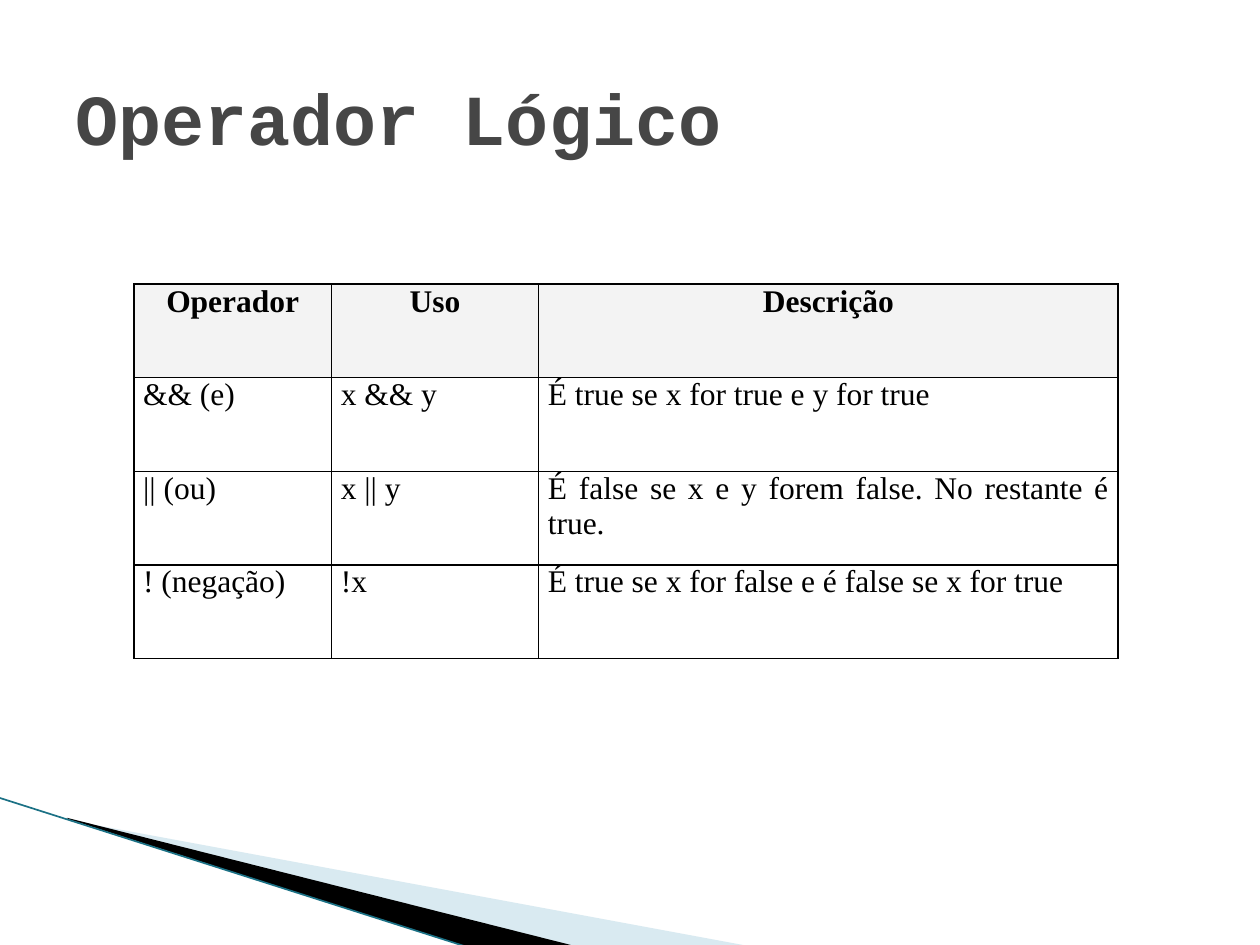
from dataclasses import dataclass

from lxml.etree import SubElement
from pptx import Presentation
from pptx.dml.color import RGBColor
from pptx.enum.shapes import MSO_CONNECTOR
from pptx.enum.text import MSO_ANCHOR, PP_ALIGN
from pptx.oxml.ns import qn
from pptx.shapes.autoshape import Shape
from pptx.slide import Slide
from pptx.table import _Cell
from pptx.util import Pt


@dataclass(frozen=True)
class Theme:
    title_font: str = "Courier New"
    table_font: str = "Times New Roman"
    title_size: float = 41
    table_size: float = 18
    title_color: str = "464646"
    ink: str = "000000"
    header_fill: str = "F3F3F3"
    wedge_light: str = "A0CBDC"
    edge: str = "1B7185"
    border_width: float = 1
    edge_width: float = 0.95


@dataclass(frozen=True)
class Frame:
    left: float
    top: float
    width: float
    height: float


@dataclass(frozen=True)
class Wedge:
    frame: Frame
    points: tuple[tuple[float, float], ...]
    color: str
    opacity: int = 100


@dataclass(frozen=True)
class Operator:
    symbol: str
    usage: str
    description: str


THEME = Theme()
WEDGES = (
    Wedge(
        Frame(56.2, 393.8, 299.5, 113.8),
        ((39.6, 468.7), (428.4, 540.7), (328.3, 540.7), (39.6, 468)),
        THEME.wedge_light,
        40,
    ),
    Wedge(
        Frame(-4.3, 455.8, 299.5, 66.2),
        ((38.2, 467.3), (329, 540.7), (267.8, 541.4), (38.9, 468)),
        THEME.ink,
    ),
)
HEADER = Operator("Operador", "Uso", "Descrição")
OPERATORS = (
    Operator("&& (e)", "x && y", "É true se x for true e y for true"),
    Operator("|| (ou)", "x || y", "É false se x e y forem false. No restante é true."),
    Operator("! (negação)", "!x", "É true se x for false e é false se x for true"),
)
COLUMN_WIDTHS = (113, 118.3, 331.2)
ROW_HEIGHT = 53.5


def rgb(color: str) -> RGBColor:
    return RGBColor.from_string(color)


def set_frame(shape: Shape, frame: Frame) -> None:
    left, top = Pt(frame.left), Pt(frame.top)
    width, height = Pt(frame.width), Pt(frame.height)
    for point in shape._element.iter(qn("a:pt")):
        point.set("x", str(int(point.get("x")) + shape.left - left))
        point.set("y", str(int(point.get("y")) + shape.top - top))
    for outline in shape._element.iter(qn("a:path")):
        outline.set("w", str(width))
        outline.set("h", str(height))
    shape.left, shape.top, shape.width, shape.height = left, top, width, height


def draw_wedge(slide: Slide, wedge: Wedge) -> None:
    start, *others = [(Pt(x), Pt(y)) for x, y in wedge.points]
    builder = slide.shapes.build_freeform(*start)
    builder.add_line_segments(others, close=True)
    shape = builder.convert_to_shape()
    set_frame(shape, wedge.frame)
    shape.shadow.inherit = False
    shape.line.fill.background()
    shape.fill.solid()
    shape.fill.fore_color.rgb = rgb(wedge.color)
    if wedge.opacity < 100:
        color = shape.fill._xPr.find(qn("a:solidFill"))[0]
        SubElement(color, qn("a:alpha"), val=str(wedge.opacity * 1000))


def draw_edge(slide: Slide) -> None:
    edge = slide.shapes.add_connector(
        MSO_CONNECTOR.STRAIGHT, Pt(-0.7), Pt(455.8), Pt(267.8), Pt(541.4)
    )
    edge.line.color.rgb = rgb(THEME.edge)
    edge.line.width = Pt(THEME.edge_width)
    SubElement(edge._element.spPr, qn("a:effectLst"))


def write_title(slide: Slide, text: str) -> None:
    title = slide.shapes.title
    title.left, title.top, title.width, title.height = Pt(36), Pt(21.6), Pt(648), Pt(90)
    title.text_frame.text = text
    title.text_frame.vertical_anchor = MSO_ANCHOR.MIDDLE
    paragraph = title.text_frame.paragraphs[0]
    paragraph.alignment = PP_ALIGN.LEFT
    paragraph.font.name = THEME.title_font
    paragraph.font.size = Pt(THEME.title_size)
    paragraph.font.bold = True
    paragraph.font.color.rgb = rgb(THEME.title_color)


def add_borders(cell: _Cell) -> None:
    properties = cell._tc.get_or_add_tcPr()
    for side in ("lnL", "lnR", "lnT", "lnB"):
        border = SubElement(properties, qn(f"a:{side}"), w=str(Pt(THEME.border_width)))
        fill = SubElement(border, qn("a:solidFill"))
        SubElement(fill, qn("a:srgbClr"), val=THEME.ink)


def write_cell(cell: _Cell, text: str, is_header: bool) -> None:
    add_borders(cell)
    cell.margin_left = cell.margin_right = Pt(5.3)
    cell.margin_top = cell.margin_bottom = Pt(0)
    cell.vertical_anchor = MSO_ANCHOR.TOP
    if is_header:
        cell.fill.solid()
        cell.fill.fore_color.rgb = rgb(THEME.header_fill)
    else:
        cell.fill.background()
    cell.text = text
    paragraph = cell.text_frame.paragraphs[0]
    paragraph.alignment = PP_ALIGN.CENTER if is_header else PP_ALIGN.JUSTIFY
    paragraph.font.name = THEME.table_font
    paragraph.font.size = Pt(THEME.table_size)
    paragraph.font.bold = is_header
    paragraph.font.color.rgb = rgb(THEME.ink)


def draw_operators(slide: Slide) -> None:
    entries = (HEADER, *OPERATORS)
    table = slide.shapes.add_table(
        len(entries), len(COLUMN_WIDTHS), Pt(76.5), Pt(162.3),
        Pt(sum(COLUMN_WIDTHS)), Pt(ROW_HEIGHT * len(entries)),
    ).table
    table.first_row = table.horz_banding = False
    for column, width in zip(table.columns, COLUMN_WIDTHS):
        column.width = Pt(width)
    for row, entry in zip(table.rows, entries):
        row.height = Pt(ROW_HEIGHT)
        texts = (entry.symbol, entry.usage, entry.description)
        for cell, text in zip(row.cells, texts):
            write_cell(cell, text, entry is HEADER)


def main() -> None:
    presentation = Presentation()
    presentation.slide_width, presentation.slide_height = Pt(720), Pt(540)
    slide = presentation.slides.add_slide(presentation.slide_layouts[5])
    for wedge in WEDGES:
        draw_wedge(slide, wedge)
    draw_edge(slide)
    write_title(slide, "Operador Lógico")
    draw_operators(slide)
    presentation.save("out.pptx")


if __name__ == "__main__":
    main()
